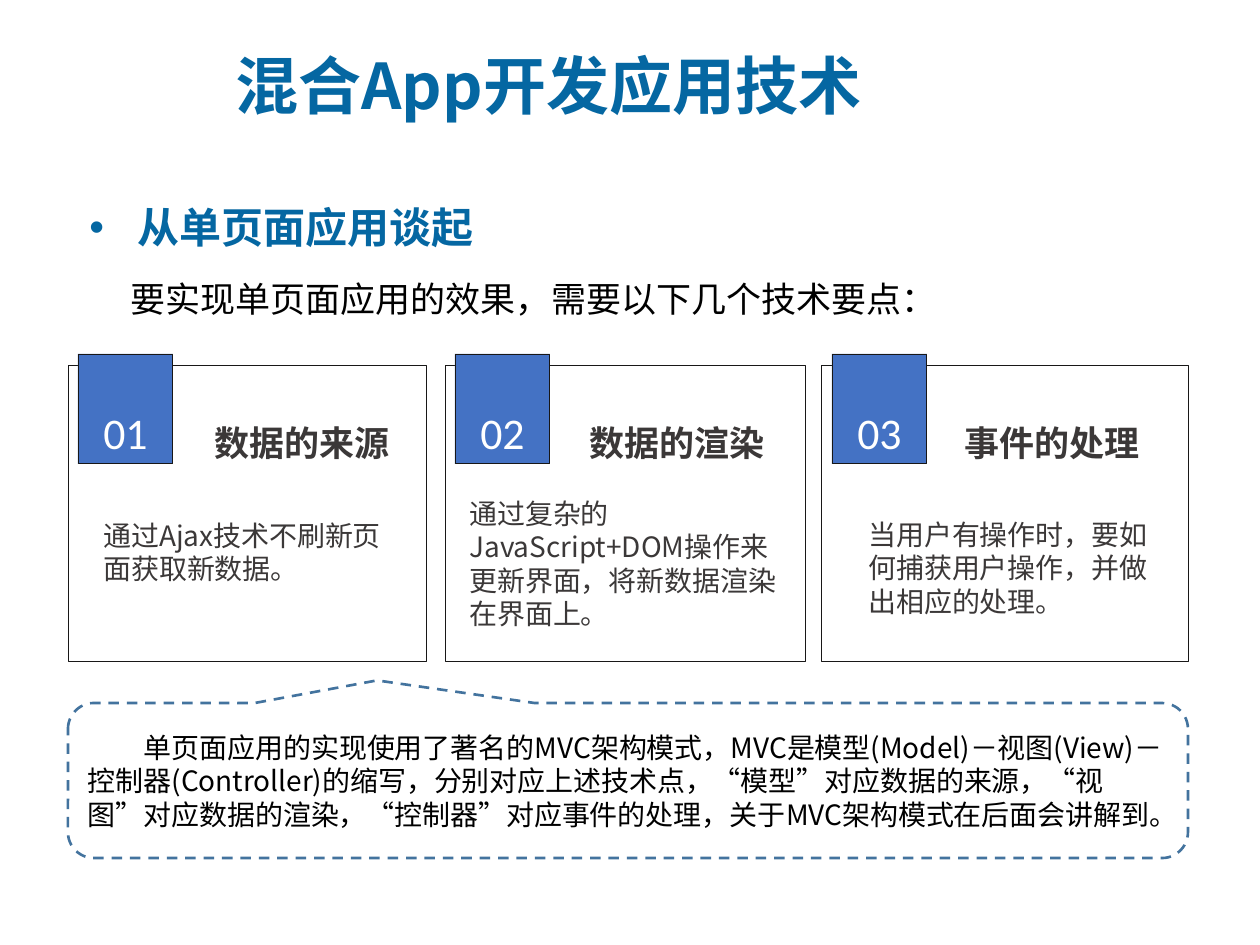
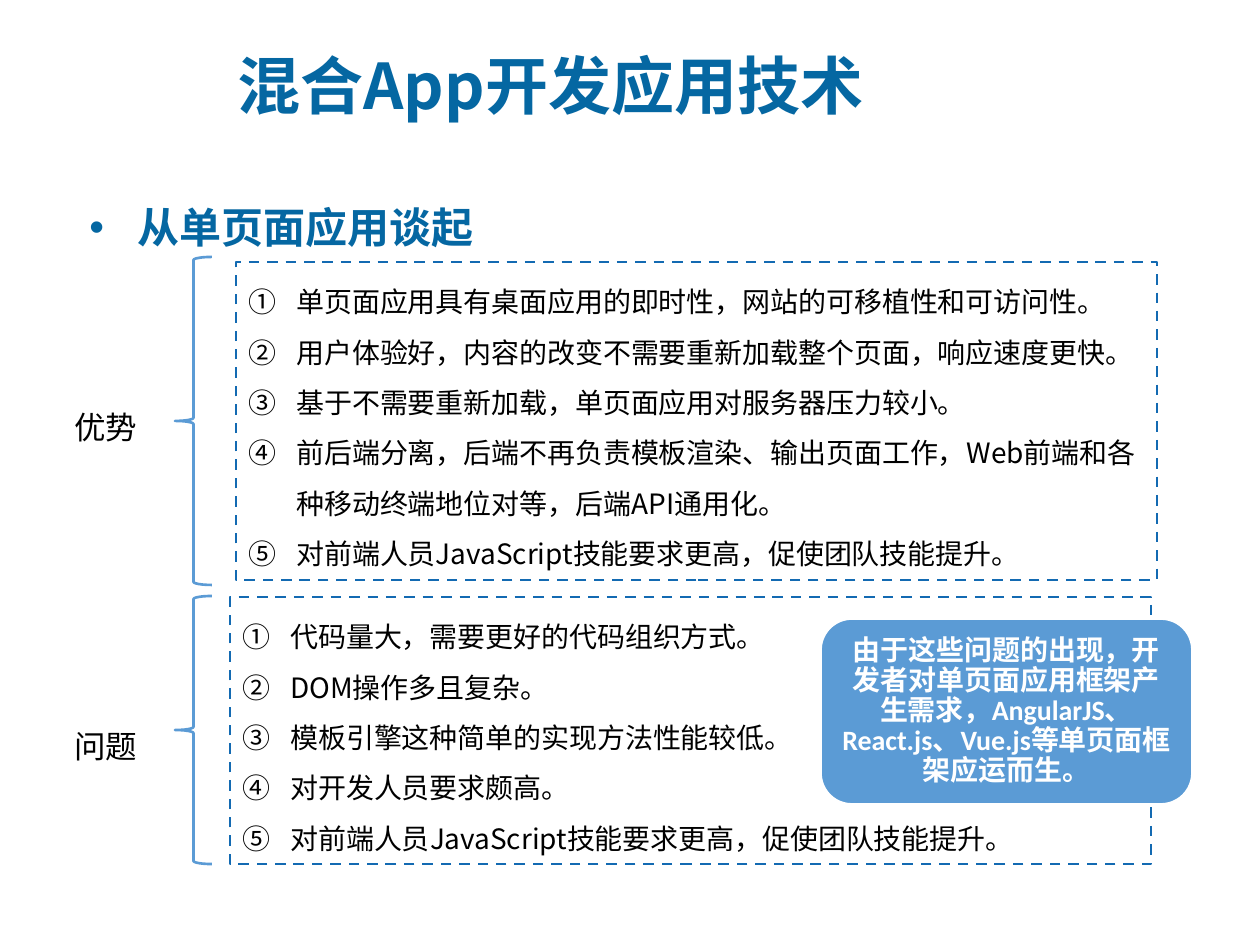
from lxml import etree
from pptx import Presentation
from pptx.dml.color import RGBColor
from pptx.enum.dml import MSO_LINE
from pptx.enum.shapes import MSO_SHAPE
from pptx.enum.text import MSO_ANCHOR, MSO_AUTO_SIZE, PP_ALIGN
from pptx.oxml.ns import qn
from pptx.util import Emu, Inches, Pt

PX = 914400 / 126
TITLE_ONLY = 5

TITLE_BLUE = RGBColor(0x05, 0x67, 0xA2)
BADGE_BLUE = RGBColor(0x44, 0x72, 0xC4)
SKY_BLUE = RGBColor(0x5B, 0x9B, 0xD5)
CALLOUT_BLUE = RGBColor(0x43, 0x73, 0x9E)
FRAME_BLUE = RGBColor(0x13, 0x6A, 0xB2)
INK = RGBColor(0x18, 0x17, 0x17)
GREY = RGBColor(0x3B, 0x38, 0x38)
BLACK = RGBColor(0, 0, 0)
WHITE = RGBColor(0xFF, 0xFF, 0xFF)

CJK = "Noto Sans CJK SC"
LATIN = "Calibri"

RECTANGLE = MSO_SHAPE.RECTANGLE
ROUNDED = MSO_SHAPE.ROUNDED_RECTANGLE
CALLOUT = MSO_SHAPE.ROUNDED_RECTANGULAR_CALLOUT
BRACE = MSO_SHAPE.LEFT_BRACE
DASH = MSO_LINE.DASH
LEFT, CENTER = PP_ALIGN.LEFT, PP_ALIGN.CENTER
TOP, MIDDLE, BOTTOM = MSO_ANCHOR.TOP, MSO_ANCHOR.MIDDLE, MSO_ANCHOR.BOTTOM
NO_AUTOFIT = MSO_AUTO_SIZE.NONE

TITLE = "混合App开发应用技术"
TOPIC = "从单页面应用谈起"
INTRO = "要实现单页面应用的效果，需要以下几个技术要点："

# number, card width, heading offset, heading, body box (offset, top, width), body
CARDS = [
    ("01", 358, 123, "数据的来源", (23, 512, 316),
     "通过Ajax技术不刷新页面获取新数据。"),
    ("02", 360, 121, "数据的渲染", (12, 490, 334),
     "通过复杂的JavaScript+DOM操作来更新界面，将新数据渲染在界面上。"),
    ("03", 367, 119, "事件的处理", (34, 511, 324),
     "当用户有操作时，要如何捕获用户操作，并做出相应的处理。"),
]
CARD_LEFT, CARD_TOP, CARD_STEP, CARD_HEIGHT = 68, 365, 377, 297

MVC_NOTE = (
    "单页面应用的实现使用了著名的MVC架构模式，MVC是模型(Model)－视图(View)－"
    "控制器(Controller)的缩写，分别对应上述技术点，“模型”对应数据的来源，"
    "“视图”对应数据的渲染，“控制器”对应事件的处理，关于MVC架构模式在后面会讲解到。"
)

SHARED_POINT = "对前端人员JavaScript技能要求更高，促使团队技能提升。"
ADVANTAGES = [
    "单页面应用具有桌面应用的即时性，网站的可移植性和可访问性。",
    "用户体验好，内容的改变不需要重新加载整个页面，响应速度更快。",
    "基于不需要重新加载，单页面应用对服务器压力较小。",
    "前后端分离，后端不再负责模板渲染、输出页面工作，"
    "Web前端和各种移动终端地位对等，后端API通用化。",
    SHARED_POINT,
]
PROBLEMS = [
    "代码量大，需要更好的代码组织方式。",
    "DOM操作多且复杂。",
    "模板引擎这种简单的实现方法性能较低。",
    "对开发人员要求颇高。",
    SHARED_POINT,
]
FRAMEWORKS_NOTE = (
    "由于这些问题的出现，开发者对单页面应用框架产生需求，"
    "AngularJS、React.js、Vue.js等单页面框架应运而生。"
)


def px(length):
    return Emu(round(length * PX))


def write(para, text, size, color, font=CJK, bold=False, align=LEFT,
          spacing=None, before=None):
    para.alignment = align
    if spacing:
        para.line_spacing = spacing
    if before:
        para.space_before = Pt(before)
    span = para.add_run()
    span.text = text
    span.font.size = Pt(size)
    span.font.bold = bold
    span.font.color.rgb = color
    span.font.name = font
    east_asian = etree.SubElement(span.font._element, qn("a:ea"))
    east_asian.set("typeface", CJK)


def indent(para, margin, first):
    properties = para._p.get_or_add_pPr()
    properties.set("marL", str(px(margin)))
    properties.set("indent", str(px(first)))


def add_bullet(para, kind, attribute, value, font):
    properties = para._p.get_or_add_pPr()
    etree.SubElement(properties, qn("a:buFont")).set("typeface", font)
    etree.SubElement(properties, qn(kind)).set(attribute, value)


def set_frame(shape, anchor=TOP, inset=None, wrap=True):
    frame = shape.text_frame
    frame.word_wrap = wrap
    frame.auto_size = NO_AUTOFIT
    frame.vertical_anchor = anchor
    if inset is not None:
        frame.margin_left = frame.margin_right = px(inset)
        frame.margin_top = frame.margin_bottom = px(inset)
    return frame


def add_text(page, box, text, size, color, inset=None, wrap=True, **style):
    shape = page.shapes.add_textbox(*map(px, box))
    para = set_frame(shape, inset=inset, wrap=wrap).paragraphs[0]
    write(para, text, size, color, **style)
    return para


def add_box(page, kind, box, line, weight, fill=None, dash=None):
    shape = page.shapes.add_shape(kind, *map(px, box))
    shape.shadow.inherit = False
    if fill is None:
        shape.fill.background()
    else:
        shape.fill.solid()
        shape.fill.fore_color.rgb = fill
    shape.line.color.rgb = line
    shape.line.width = Pt(weight)
    if dash:
        shape.line.dash_style = dash
    return shape


def add_page(deck, title_left):
    """Add a page with the title and topic line that all pages share."""
    page = deck.slides.add_slide(deck.slide_layouts[TITLE_ONLY])
    title = page.shapes.title
    title.left, title.top, title.width, title.height = map(
        px, (title_left, 34, 1031, 100))
    write(set_frame(title, MIDDLE).paragraphs[0], TITLE, 36, TITLE_BLUE, bold=True)
    topic = add_text(page, (77, 170, 415, 89), TOPIC, 24, TITLE_BLUE, wrap=False,
                     font=LATIN, bold=True, spacing=1.5, before=4.8)
    indent(topic, 48, -48)
    add_bullet(topic, "a:buChar", "char", "•", "Arial")
    return page


def add_card(page, left, top, card):
    number, width, heading_offset, heading, body_box, body = card
    body_offset, body_top, body_width = body_box
    add_box(page, RECTANGLE, (left, top, width, CARD_HEIGHT), INK, 0.5)
    badge = add_box(page, RECTANGLE, (left + 10, top - 11, 95, 110),
                    INK, 0.5, BADGE_BLUE)
    write(set_frame(badge, BOTTOM).paragraphs[0], number, 25, WHITE,
          font=LATIN, align=CENTER)
    add_text(page, (left + heading_offset, top + 48, 222, 50), heading, 20, GREY,
             inset=0, bold=True, align=CENTER, spacing=1.2, before=3)
    add_text(page, (left + body_offset, body_top, body_width, 115), body, 16, GREY,
             before=6)


def add_mvc_callout(page, box):
    callout = add_box(page, CALLOUT, box, CALLOUT_BLUE, 1.5, WHITE, DASH)
    for index, value in enumerate((-0.224, -0.646, 0.167)):
        callout.adjustments[index] = value
    para = set_frame(callout, MIDDLE).paragraphs[0]
    write(para, MVC_NOTE, 16, BLACK)
    indent(para, 0, 56)


def add_point_list(page, box, points):
    frame = set_frame(add_box(page, RECTANGLE, box, FRAME_BLUE, 1.5, dash=DASH))
    for index, point in enumerate(points):
        para = frame.add_paragraph() if index else frame.paragraphs[0]
        write(para, point, 16, BLACK, spacing=1.5)
        indent(para, 48, -48)
        add_bullet(para, "a:buAutoNum", "type", "circleNumDbPlain", CJK)


def add_braced_list(page, label, label_top, brace_top, brace_height, box, points):
    add_text(page, (62, label_top, 89, 50), label, 18, BLACK, wrap=False)
    brace = add_box(page, BRACE, (175, brace_top, 37, brace_height), SKY_BLUE, 1.5)
    brace.adjustments[0] = 0.083
    add_point_list(page, box, points)


def add_frameworks_note(page, box):
    note = add_box(page, ROUNDED, box, WHITE, 1, SKY_BLUE)
    note.adjustments[0] = 0.167
    write(set_frame(note, MIDDLE, inset=10).paragraphs[0], FRAMEWORKS_NOTE, 16,
          WHITE, font=LATIN, bold=True, align=CENTER, spacing=0.9)


def build_key_points(deck):
    page = add_page(deck, 223)
    add_text(page, (118, 271, 942, 55), INTRO, 20, BLACK)
    for index, card in enumerate(CARDS):
        add_card(page, CARD_LEFT + index * CARD_STEP, CARD_TOP, card)
    add_mvc_callout(page, (68, 703, 1120, 155))


def build_pros_and_cons(deck):
    page = add_page(deck, 225)
    add_braced_list(page, "优势", 402, 257, 328, (236, 262, 921, 318), ADVANTAGES)
    add_braced_list(page, "问题", 721, 596, 268, (230, 597, 921, 267), PROBLEMS)
    add_frameworks_note(page, (821, 619, 371, 185))


def main():
    deck = Presentation()
    deck.slide_width, deck.slide_height = Inches(10), Inches(7.5)
    build_key_points(deck)
    build_pros_and_cons(deck)
    deck.save("out.pptx")


if __name__ == "__main__":
    main()
